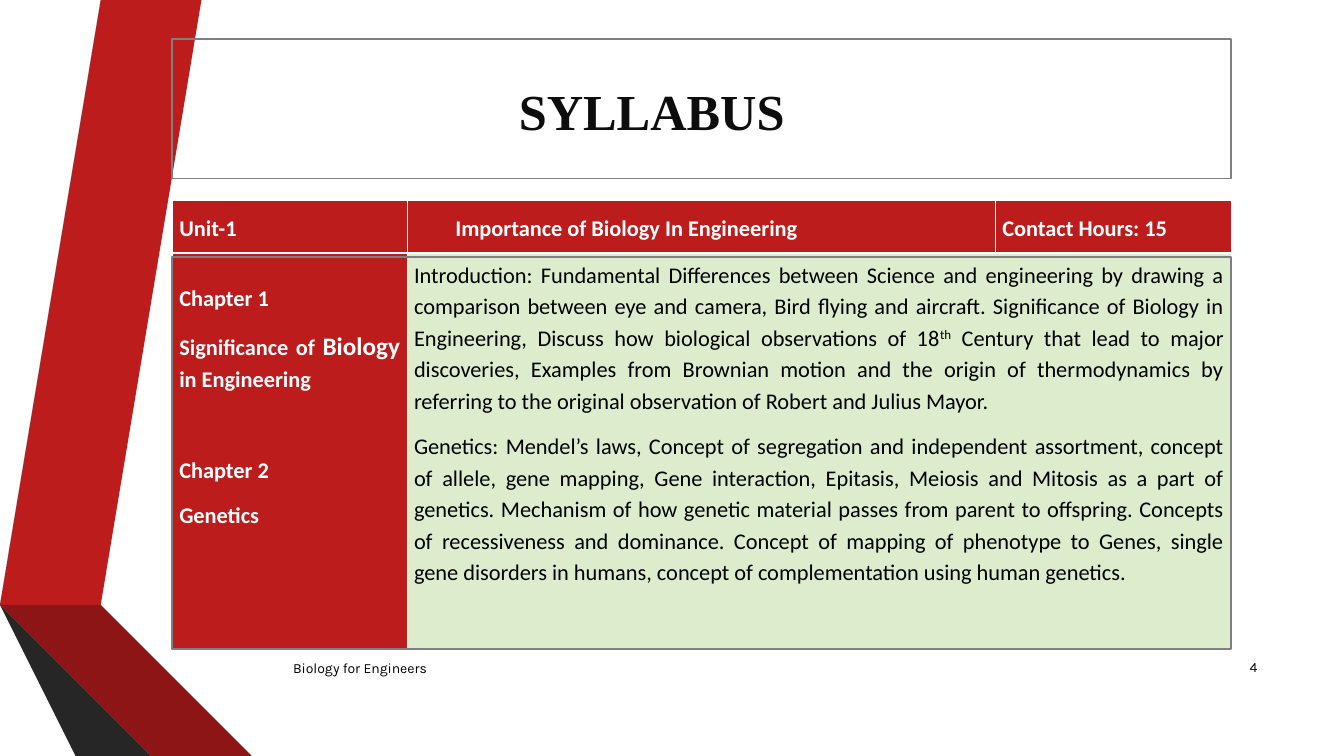
from dataclasses import dataclass

from lxml.etree import SubElement
from pptx import Presentation
from pptx.dml.color import RGBColor
from pptx.enum.shapes import MSO_SHAPE
from pptx.enum.text import MSO_ANCHOR, PP_ALIGN
from pptx.oxml import parse_xml
from pptx.oxml.ns import nsdecls, qn
from pptx.util import Inches, Pt


@dataclass(frozen=True)
class Theme:
    red: str = "BC1C1C"
    dark_red: str = "8D1515"
    deep_red: str = "5E0E0E"
    grey: str = "595959"
    dark_grey: str = "404040"
    deep_grey: str = "262626"
    frame: str = "7F7F7F"
    green: str = "DEECCE"
    white: str = "FFFFFF"
    black: str = "000000"
    title_ink: str = "0D0D0D"
    title_font: str = "Times New Roman"
    table_font: str = "Calibri"
    footer_font: str = "Karla"
    title_size: int = 36
    table_size: int = 16
    emphasis_size: int = 18
    footer_size: int = 10


THEME = Theme()
CONTENT_LEFT, CONTENT_WIDTH = 1.71, 10.51
THIN, THICK = 0.45, 1.47

RIBBONS = [
    (THEME.red, [(0.5, 5.78), (0.77, 5.83), (1.73, 0), (1.45, 0)]),
    (THEME.grey, [(1.39, 0), (1.11, 0), (0.16, 5.73), (0.44, 5.77)]),
    (THEME.deep_grey, [(0.16, 5.73), (1.45, 7.5), (1.51, 7.5)]),
    (THEME.deep_red, [(0.5, 5.79), (2.08, 7.5), (2.14, 7.5)]),
    (THEME.dark_red, [(0.5, 5.78), (2.14, 7.5), (2.83, 7.5), (0.77, 5.83)]),
    (THEME.dark_grey, [(0.16, 5.73), (1.51, 7.5), (2.02, 7.5), (0.48, 5.83), (0.44, 5.77)]),
]

INTRODUCTION = (
    "Introduction: Fundamental Differences between Science and engineering by drawing a "
    "comparison between eye and camera, Bird flying and aircraft. Significance of Biology in "
    "Engineering, Discuss how biological observations of 18"
)
INTRODUCTION_END = (
    " Century that lead to major discoveries, Examples from Brownian motion and the origin of "
    "thermodynamics by referring to the original observation of Robert and Julius Mayor."
)
GENETICS = (
    "Genetics: Mendel’s laws, Concept of segregation and independent assortment, concept of "
    "allele, gene mapping, Gene interaction, Epitasis, Meiosis and Mitosis as a part of genetics. "
    "Mechanism of how genetic material passes from parent to offspring. Concepts of recessiveness "
    "and dominance. Concept of mapping of phenotype to Genes, single gene disorders in humans, "
    "concept of complementation using human genetics."
)


def add_span(para, text, font, size, color, bold=False):
    span = para.add_run()
    span.text = text
    span.font.name = font
    span.font.size = Pt(size)
    span.font.bold = bold
    span.font.color.rgb = RGBColor.from_string(color)
    return span


def add_ribbon(page, color, points):
    builder = page.shapes.build_freeform(*points[0], scale=Inches(1))
    builder.add_line_segments(points[1:], close=True)
    ribbon = builder.convert_to_shape()
    ribbon.shadow.inherit = False
    ribbon.fill.solid()
    ribbon.fill.fore_color.rgb = RGBColor.from_string(color)
    ribbon.line.fill.background()


def add_frame(page, top, height):
    frame = page.shapes.add_shape(
        MSO_SHAPE.RECTANGLE, Inches(CONTENT_LEFT), Inches(top), Inches(CONTENT_WIDTH), Inches(height)
    )
    frame.shadow.inherit = False
    frame.fill.background()
    frame.line.color.rgb = RGBColor.from_string(THEME.frame)
    frame.line.width = Pt(1.25)


def add_label(page, place, text, font, size, color, align=PP_ALIGN.LEFT, bold=False):
    box = page.shapes.add_textbox(*map(Inches, place))
    box.text_frame.word_wrap = True
    box.text_frame.vertical_anchor = MSO_ANCHOR.MIDDLE
    para = box.text_frame.paragraphs[0]
    para.alignment = align
    add_span(para, text, font, size, color, bold)
    return box


def style_cell(cell, color, top_line, bottom_line, anchor):
    cell.margin_left = cell.margin_right = Inches(0.07)
    cell.margin_top = cell.margin_bottom = Inches(0.05)
    cell.vertical_anchor = anchor
    cell.fill.solid()
    cell.fill.fore_color.rgb = RGBColor.from_string(color)
    properties = cell._tc.get_or_add_tcPr()
    borders = [("lnL", THIN), ("lnR", THIN), ("lnT", top_line), ("lnB", bottom_line)]
    for position, (side, width) in enumerate(borders):
        border = parse_xml(f'<a:{side} {nsdecls("a")} w="{Pt(width)}"/>')
        fill = SubElement(border, qn("a:solidFill"))
        SubElement(fill, qn("a:srgbClr"), val=THEME.white)
        properties.insert(position, border)


def add_cell_paragraph(cell, texts, color, bold):
    """Fill the cell's first empty paragraph, or append one."""
    para = cell.text_frame.paragraphs[0]
    if para.runs:
        para = cell.text_frame.add_paragraph()
    para.alignment = PP_ALIGN.JUSTIFY
    para.line_spacing = 1.15
    para.space_after = Pt(10)
    spans = [add_span(para, text, THEME.table_font, THEME.table_size, color, bold) for text in texts]
    return para, spans


def add_syllabus_table(page):
    table = page.shapes.add_table(
        2, 3, Inches(CONTENT_LEFT), Inches(1.99), Inches(CONTENT_WIDTH), Inches(4.45)
    ).table
    table.first_row = table.horz_banding = False
    for column, width in zip(table.columns, (2.33, 5.84, 2.34)):
        column.width = Inches(width)
    for row, height in zip(table.rows, (0.52, 3.93)):
        row.height = Inches(height)

    headings = ("Unit-1", "Importance of Biology In Engineering", "Contact Hours: 15")
    for cell, heading in zip(table.rows[0].cells, headings):
        style_cell(cell, THEME.red, THIN, THICK, MSO_ANCHOR.MIDDLE)
        add_cell_paragraph(cell, [heading], THEME.white, True)
    table.cell(0, 1).margin_left = Inches(0.48)

    chapters, contents = table.cell(1, 0), table.cell(1, 1)
    contents.merge(table.cell(1, 2))
    for cell, color in ((chapters, THEME.red), (contents, THEME.green), (table.cell(1, 2), THEME.green)):
        style_cell(cell, color, THICK, THIN, MSO_ANCHOR.TOP)

    chapters.margin_top = Inches(0.28)
    add_cell_paragraph(chapters, ["Chapter 1"], THEME.white, True)
    _, spans = add_cell_paragraph(
        chapters, ["Significance of ", "Biology", " in Engineering"], THEME.white, True
    )
    spans[1].font.size = Pt(THEME.emphasis_size)
    second_chapter, _ = add_cell_paragraph(chapters, ["Chapter 2"], THEME.white, True)
    second_chapter.space_before = Pt(32.5)
    add_cell_paragraph(chapters, ["Genetics"], THEME.white, True)

    _, spans = add_cell_paragraph(
        contents, [INTRODUCTION, "th", INTRODUCTION_END], THEME.black, False
    )
    spans[1]._r.get_or_add_rPr().set("baseline", "30000")
    add_cell_paragraph(contents, [GENETICS], THEME.black, False)


def main():
    deck = Presentation()
    deck.slide_width, deck.slide_height = Inches(13.34), Inches(7.5)
    page = deck.slides.add_slide(deck.slide_layouts[6])

    for color, points in RIBBONS:
        add_ribbon(page, color, points)
    title = add_label(page, (0.92, 0.39, 11.5, 1.4), "SYLLABUS", THEME.title_font,
                      THEME.title_size, THEME.title_ink, PP_ALIGN.CENTER, True)
    title.text_frame.margin_right = Inches(0.5)
    add_syllabus_table(page)
    footer_style = (THEME.footer_font, THEME.footer_size, THEME.black)
    add_label(page, (2.81, 6.43, 7.75, 0.4), "Biology for Engineers", *footer_style)
    add_label(page, (11.98, 6.42, 0.6, 0.4), "4", *footer_style, PP_ALIGN.RIGHT)
    add_frame(page, 2.55, 3.89)
    add_frame(page, 0.39, 1.38)
    deck.save("out.pptx")


if __name__ == "__main__":
    main()
